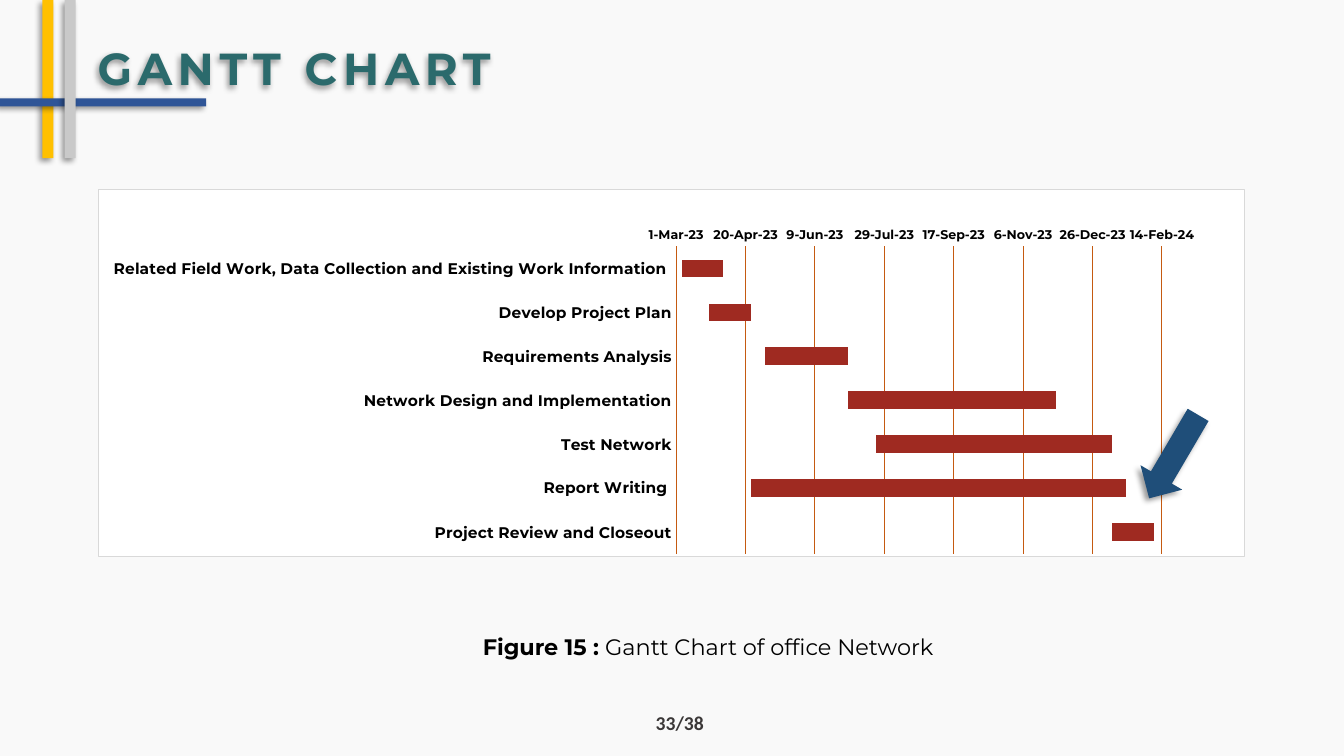
from lxml import etree
from pptx import Presentation
from pptx.chart import data
from pptx.dml import color
from pptx.enum import chart as ch, shapes, text
from pptx.oxml import ns
from pptx.util import Inches, Pt

HUES = {
    "page": "F9F9F9", "white": "FFFFFF", "black": "000000", "gold": "FFC000",
    "blue": "2F5597", "gray": "C9C9C9", "teal": "2B6A6C", "navy": "1F4E79",
    "red": "9F2A21", "rust": "C55A11", "edge": "D9D9D9", "dark": "3B3838",
}
FONT = "Montserrat"
FIRST, LAST, STEP = 44986, 45370, 50
TASKS = [
    ("Related Field Work, Data Collection and Existing Work Information ", 44990, 30),
    ("Develop Project Plan", 45010, 30),
    ("Requirements Analysis", 45050, 60),
    ("Network Design and Implementation", 45110, 150),
    ("Test Network", 45130, 170),
    ("Report Writing ", 45040, 270),
    ("Project Review and Closeout", 45300, 30),
]


def rgb(name):
    return color.RGBColor.from_string(HUES[name])


def paint(fill, name):
    fill.solid()
    fill.fore_color.rgb = rgb(name)


def style(font, size, name, bold=True, face=FONT):
    font.size = Pt(size)
    font.bold = bold
    font.name = face
    font.color.rgb = rgb(name)


def shade(shape):
    shape.shadow.inherit = False
    effects = shape._element.spPr.find(ns.qn("a:effectLst"))
    drop = etree.SubElement(effects, ns.qn("a:outerShdw"), blurRad=str(Pt(4)),
                            dist=str(Pt(3)), dir="8100000", algn="tr", rotWithShape="0")
    tint = etree.SubElement(drop, ns.qn("a:srgbClr"), val=HUES["black"])
    etree.SubElement(tint, ns.qn("a:alpha"), val="40000")


def add_block(tree, kind, box, name, turn=0):
    shape = tree.add_shape(kind, *map(Inches, box))
    shape.rotation = turn
    paint(shape.fill, name)
    shape.line.fill.background()
    shade(shape)


def add_label(slide, box, parts, size, name, align, anchor=text.MSO_ANCHOR.TOP, face=FONT):
    shape = slide.shapes.add_textbox(*map(Inches, box))
    frame = shape.text_frame
    frame.word_wrap = True
    frame.vertical_anchor = anchor
    para = frame.paragraphs[0]
    para.alignment = align
    style(para.font, size, name, None, face)
    for words, bold in parts:
        run = para.add_run()
        run.text = words
        style(run.font, size, name, bold, face)
    return shape


def add_title(slide):
    shape = add_label(slide, (0.87, 0.36, 9.68, 0.63), [("GANTT CHART", True)], 32,
                      "teal", text.PP_ALIGN.LEFT, text.MSO_ANCHOR.BOTTOM)
    para = shape.text_frame.paragraphs[0]
    para.line_spacing = 0.9
    para.runs[0].font._element.set("spc", "400")
    shade(shape)


def add_bars(slide):
    group = slide.shapes.add_group_shape().shapes
    rect = shapes.MSO_SHAPE.RECTANGLE
    add_block(group, rect, (0.42, 0, 0.11, 1.57), "gold")
    add_block(group, rect, (0.98, -0.01, 0.08, 2.05), "blue", 270)
    add_block(group, rect, (0.64, 0, 0.11, 1.57), "gray")


def frame_chart(chart):
    space = chart._chartSpace
    props = etree.Element(ns.qn("c:spPr"))
    fill = etree.SubElement(props, ns.qn("a:solidFill"))
    etree.SubElement(fill, ns.qn("a:srgbClr"), val=HUES["white"])
    line = etree.SubElement(props, ns.qn("a:ln"), w=str(Pt(0.75)))
    fill = etree.SubElement(line, ns.qn("a:solidFill"))
    etree.SubElement(fill, ns.qn("a:srgbClr"), val=HUES["edge"])
    space.find(ns.qn("c:chart")).addnext(props)


def place_plot(chart, box):
    area = chart._chartSpace.find(ns.qn("c:chart")).find(ns.qn("c:plotArea"))
    for old in area.findall(ns.qn("c:layout")):
        area.remove(old)
    layout = etree.Element(ns.qn("c:layout"))
    manual = etree.SubElement(layout, ns.qn("c:manualLayout"))
    rules = [("layoutTarget", "inner"), ("xMode", "edge"), ("yMode", "edge")]
    for tag, val in rules + list(zip("xywh", box)):
        etree.SubElement(manual, ns.qn("c:" + tag), val=str(val))
    area.insert(0, layout)


def style_axes(chart):
    tasks, dates = chart.category_axis, chart.value_axis
    for axis, size in ((tasks, 11), (dates, 9)):
        axis.major_tick_mark = axis.minor_tick_mark = ch.XL_TICK_MARK.NONE
        style(axis.tick_labels.font, size, "black")
    tasks.reverse_order = True
    dates.minimum_scale, dates.maximum_scale = FIRST, LAST
    dates.major_unit = STEP
    dates.has_major_gridlines = True
    dates.tick_labels.number_format = r"[$-409]d\-mmm\-yy;@"
    dates.tick_labels.number_format_is_linked = False
    dates.format.line.fill.background()
    for line in (tasks.format.line, dates.major_gridlines.format.line):
        line.color.rgb = rgb("rust")
        line.width = Pt(0.75)


def add_gantt(slide, box):
    names, starts, days = zip(*TASKS)
    table = data.CategoryChartData()
    table.categories = names
    table.add_series("Series 1", starts)
    table.add_series("Series 2", days)
    chart = slide.shapes.add_chart(ch.XL_CHART_TYPE.BAR_STACKED, *map(Inches, box), table).chart
    chart.has_legend = chart.has_title = False
    style(chart.font, 10, "black", False, "Calibri")
    plot = chart.plots[0]
    plot.gap_width, plot.overlap = 150, 100
    plot.vary_by_categories = False
    start, span = plot.series
    start.format.fill.background()
    paint(span.format.fill, "red")
    style_axes(chart)
    place_plot(chart, (0.504, 0.156, 0.465, 0.837))
    frame_chart(chart)


def main():
    deck = Presentation()
    deck.slide_width, deck.slide_height = Inches(13.33), Inches(7.5)
    slide = deck.slides.add_slide(deck.slide_layouts[6])
    paint(slide.background.fill, "page")
    add_label(slide, (6.24, 7, 0.84, 0.63), [("33/38", True)], 14, "dark",
              text.PP_ALIGN.RIGHT, face="Calibri")
    add_bars(slide)
    add_label(slide, (4.69, 6.23, 5.32, 0.37),
              [("Figure 15 : ", True), ("Gantt Chart of office Network", False)],
              16, "black", text.PP_ALIGN.JUSTIFY)
    add_title(slide)
    add_gantt(slide, (0.97, 1.87, 11.38, 3.66))
    add_block(slide.shapes, shapes.MSO_SHAPE.RIGHT_ARROW, (11.16, 4.29, 0.96, 0.48),
              "navy", 120.4)
    deck.save("out.pptx")


if __name__ == "__main__":
    main()
